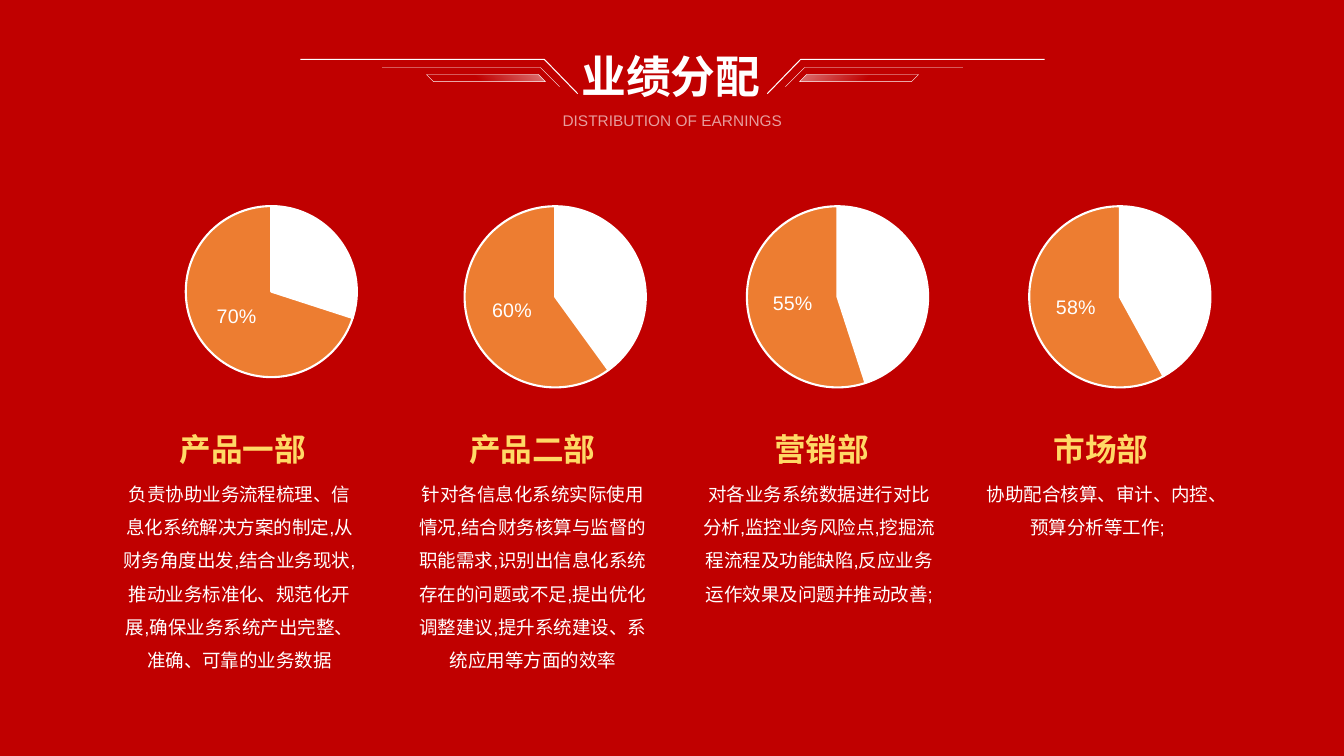
from lxml.etree import SubElement
from pptx import Presentation
from pptx.chart.data import CategoryChartData
from pptx.dml.color import RGBColor
from pptx.enum.chart import XL_CHART_TYPE, XL_LABEL_POSITION
from pptx.enum.shapes import MSO_SHAPE
from pptx.enum.text import MSO_ANCHOR, PP_ALIGN
from pptx.oxml.ns import qn
from pptx.util import Inches, Pt

SLIDE_WIDTH = 13.33
MIRROR = 13.34  # the ornament's left half lies at MIRROR - x


def color(value):
    return RGBColor.from_string(value)


def set_alpha(element, percents):
    for node, percent in zip(element.iter(qn("a:srgbClr")), percents):
        SubElement(node, qn("a:alpha")).set("val", str(percent * 1000))


class DepartmentSlide:
    white, red, orange, gold = "FFFFFF", "C00000", "ED7D31", "FFD966"
    heading_font, body_font = "Noto Sans CJK SC", "Arial"

    def __init__(self, deck):
        self.page = deck.slides.add_slide(deck.slide_layouts[5])
        self.shapes = self.page.shapes
        fill = self.page.background.fill
        fill.solid()
        fill.fore_color.rgb = color(self.red)

    def fill_text(self, box, text, font, ink, size, bold=False, spacing=1.0):
        para = box.text_frame.paragraphs[0]
        para.alignment = PP_ALIGN.CENTER
        para.line_spacing = spacing
        span = para.add_run()
        span.text = text
        for name, value in {"name": font, "size": Pt(size), "bold": bold}.items():
            setattr(span.font, name, value)
        span.font.color.rgb = color(ink)
        SubElement(span.font._element, qn("a:ea")).set("typeface", font)
        return span

    def title(self, text, left, top, width, height):
        box = self.shapes.title
        place = {"left": left, "top": top, "width": width, "height": height}
        for name, value in place.items():
            setattr(box, name, Inches(value))
        box.text_frame.vertical_anchor = MSO_ANCHOR.MIDDLE
        box.text_frame.word_wrap = True
        self.fill_text(box, text, self.heading_font, self.white, 32, True, 0.9)

    def text(self, text, place, wrap=True, inset=0, **style):
        box = self.shapes.add_textbox(*map(Inches, place))
        frame = box.text_frame
        frame.word_wrap = wrap
        for side in ("left", "right", "top", "bottom"):
            setattr(frame, f"margin_{side}", Inches(inset))
        return self.fill_text(box, text, **style)

    def outline(self, shape, width):
        shape.shadow.inherit = False
        shape.line.color.rgb = color(self.white)
        shape.line.width = Pt(width)

    def bent_line(self, points, width):
        start, *rest = [(Inches(x), Inches(y)) for x, y in points]
        builder = self.shapes.build_freeform(*start)
        builder.add_line_segments(rest, close=False)
        shape = builder.convert_to_shape()
        shape.fill.background()
        self.outline(shape, width)

    def slanted_bar(self, place, flipped):
        bar = self.shapes.add_shape(MSO_SHAPE.PARALLELOGRAM, *map(Inches, place))
        bar.adjustments[0] = 0.98
        bar.fill.gradient()
        bar.fill.gradient_angle = 315
        for stop, position in zip(bar.fill.gradient_stops, (0, 0.57)):
            stop.position = position
            stop.color.rgb = color(self.white)
        set_alpha(bar._element.spPr, (46, 0))
        self.outline(bar, 0.25)
        if flipped:
            bar._element.spPr.xfrm.set("flipH", "1")

    def pie(self, share, place, plot):
        data = CategoryChartData(number_format="0%")
        data.categories = ["1", "2"]
        data.add_series("Series 1", (round(1 - share, 2), share))
        chart = self.shapes.add_chart(
            XL_CHART_TYPE.PIE, *map(Inches, place), data).chart
        chart.has_legend = chart.has_title = False
        for name, value in {"name": self.body_font, "size": Pt(10)}.items():
            setattr(chart.font, name, value)
        chart.font.color.rgb = color(self.white)
        chart.plots[0].vary_by_categories = True
        points = chart.plots[0].series[0].points
        for index, tint in enumerate((self.white, self.orange)):
            slice_format = points[index].format
            slice_format.fill.solid()
            slice_format.fill.fore_color.rgb = color(tint)
            slice_format.line.color.rgb = color(self.white)
            slice_format.line.width = Pt(1.5)
        # Only the coloured slice carries its value
        label = points[1].data_label
        label.position = XL_LABEL_POSITION.CENTER
        label.font.size = Pt(14)
        label.font.name = self.body_font
        label.font.color.rgb = color(self.white)
        for node in label._dLbl.iter(qn("c:showVal"), qn("c:showPercent")):
            node.set("val", "1" if node.tag == qn("c:showVal") else "0")
        # Fixed plot area inside the chart frame
        area = chart._chartSpace.chart.plotArea
        for old in area.findall(qn("c:layout")):
            area.remove(old)
        layout = SubElement(area, qn("c:layout"))
        area.insert(0, layout)
        manual = SubElement(layout, qn("c:manualLayout"))
        settings = {"layoutTarget": "inner", "xMode": "edge", "yMode": "edge"}
        settings.update(zip("xywh", plot))
        for name, value in settings.items():
            SubElement(manual, qn(f"c:{name}")).set("val", str(value))


def main():
    deck = Presentation()
    deck.slide_width, deck.slide_height = Inches(SLIDE_WIDTH), Inches(7.5)
    slide = DepartmentSlide(deck)

    # Mirrored ornament beside the title
    bent_lines = [
        ([(7.61, 0.93), (7.94, 0.59), (10.36, 0.59)], 0.75),
        ([(7.79, 0.86), (7.98, 0.67), (9.55, 0.67)], 0.25),
    ]
    for flipped in (False, True):
        for points, width in bent_lines:
            slide.bent_line(
                [(MIRROR - x if flipped else x, y) for x, y in points], width)
        bar_left = MIRROR - 7.93 - 1.18 if flipped else 7.93
        slide.slanted_bar((bar_left, 0.74, 1.18, 0.07), flipped)

    # Title and subtitle
    slide.title("业绩分配", 5.58, 0.49, 2.15, 0.59)
    subtitle = slide.text("DISTRIBUTION OF EARNINGS", (5.29, 1.07, 2.76, 0.57),
                          inset=0.05, font=slide.body_font, ink=slide.white,
                          size=11, spacing=0.9)
    set_alpha(subtitle.font._element, (61,))

    # Departments: name, name centre, text left, share, text
    departments = [
        ("产品一部", 2.41, 1.22, 0.70,
         "负责协助业务流程梳理、信息化系统解决方案的制定,从财务角度出发,结合业务现状,"
         "推动业务标准化、规范化开展,确保业务系统产出完整、准确、可靠的业务数据"),
        ("产品二部", 5.28, 4.13, 0.60,
         "针对各信息化系统实际使用情况,结合财务核算与监督的职能需求,识别出信息化系统"
         "存在的问题或不足,提出优化调整建议,提升系统建设、系统应用等方面的效率"),
        ("营销部", 8.15, 6.97, 0.55,
         "对各业务系统数据进行对比分析,监控业务风险点,挖掘流程流程及功能缺陷,"
         "反应业务运作效果及问题并推动改善;"),
        ("市场部", 10.92, 9.73, 0.58,
         "协助配合核算、审计、内控、预算分析等工作;"),
    ]
    for index, (name, center, left, share, duty) in enumerate(departments):
        name_width = 0.315 * len(name)
        slide.text(name, (center - name_width / 2, 4.26, name_width, 0.38),
                   wrap=False, font=slide.heading_font, ink=slide.gold,
                   size=22.6, bold=True)
        slide.text(duty, (left, 4.68, 2.31, 1.95), font=slide.body_font,
                   ink=slide.white, size=13.2, spacing=1.5)
        plot = (0.28, 0.07, 0.58, 0.87) if index else (0.29, 0.07, 0.55, 0.82)
        slide.pie(share, (0.94 + 2.8 * index, 1.9, 3.1, 2.07), plot)

    deck.save("out.pptx")


if __name__ == "__main__":
    main()
